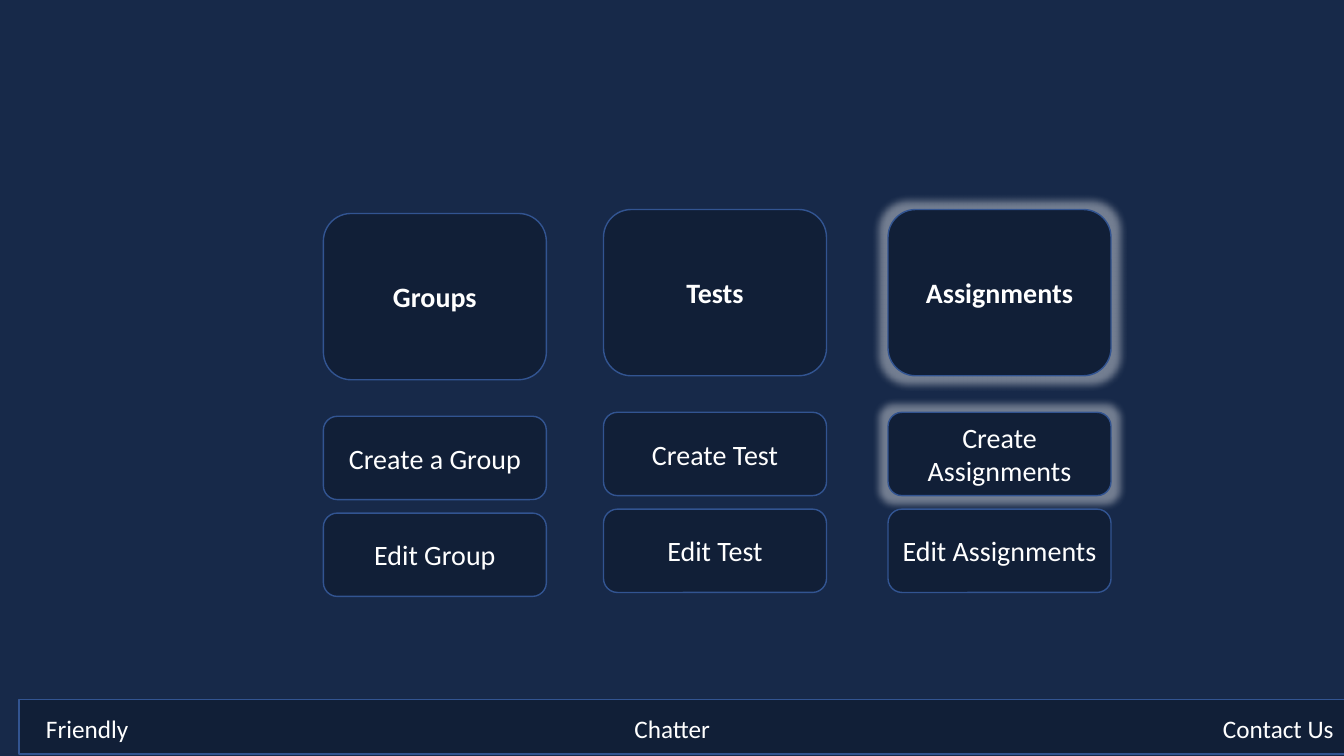
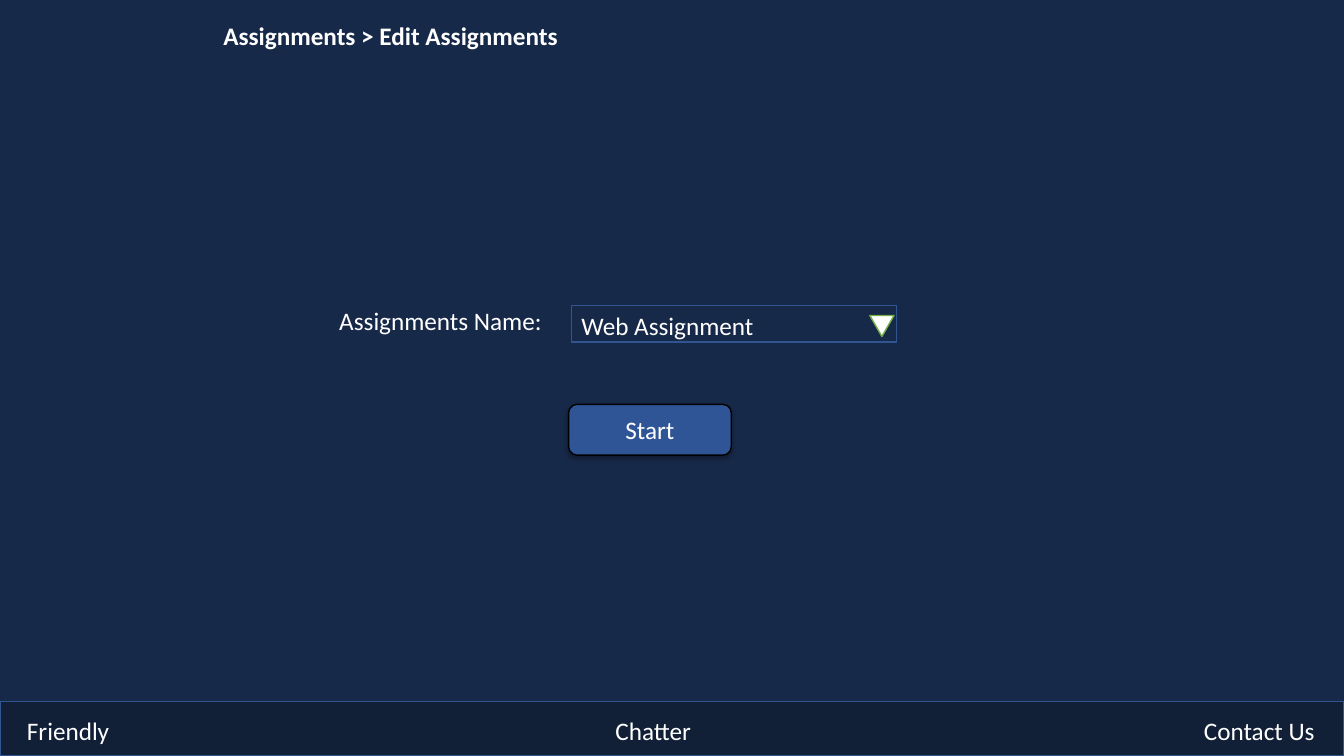
"""Build two screens of a classroom site: the teacher menu and the assignment picker."""
from dataclasses import dataclass

from lxml import etree
from pptx import Presentation
from pptx import util as u
from pptx.dml.color import RGBColor
from pptx.enum import shapes, text
from pptx.oxml.ns import qn


@dataclass(frozen=True)
class Theme:
    font: str = "Calibri"
    backdrop: str = "172949"
    panel: str = "111F37"
    edge: str = "325491"
    button: str = "2F5597"
    button_edge: str = "000000"
    arrow_edge: str = "70AD47"
    white: str = "FFFFFF"
    body_size: int = 18
    card_size: int = 20
    line_width: int = 1


theme = Theme()
forms = shapes.MSO_SHAPE
GLOW = ("glow", {"rad": "139700"}, theme.white, "40000")
SHADOW = ("outerShdw", {"blurRad": "44450", "dist": "27940", "dir": "5400000",
                        "algn": "ctr", "rotWithShape": "0"}, "000000", "32000")


def add_text(box, wording, size=theme.body_size, bold=False,
             align=text.PP_ALIGN.LEFT, anchor=text.MSO_ANCHOR.TOP):
    frame = box.text_frame
    layout = {"word_wrap": True, "vertical_anchor": anchor,
              "margin_left": u.Cm(0.25), "margin_right": u.Cm(0.25)}
    for name, value in layout.items():
        setattr(frame, name, value)
    para = frame.paragraphs[0]
    para.alignment = align
    span = para.add_run()
    span.text = wording
    for name, value in {"name": theme.font, "size": u.Pt(size), "bold": bold}.items():
        setattr(span.font, name, value)
    span.font.color.rgb = RGBColor.from_string(theme.white)


def add_box(page, form, place, fill=None, edge=theme.edge, effect=None):
    box = page.shapes.add_shape(form, *map(u.Cm, place))
    box.shadow.inherit = False
    if fill:
        box.fill.solid()
        box.fill.fore_color.rgb = RGBColor.from_string(fill)
    else:
        box.fill.background()
    box.line.color.rgb = RGBColor.from_string(edge)
    box.line.width = u.Pt(theme.line_width)
    if effect:
        tag, settings, colour, alpha = effect
        effects = box._element.spPr.find(qn("a:effectLst"))
        node = etree.SubElement(effects, qn(f"a:{tag}"), settings)
        tint = etree.SubElement(node, qn("a:srgbClr"), {"val": colour})
        etree.SubElement(tint, qn("a:alpha"), {"val": alpha})
    return box


deck = Presentation()
deck.slide_width, deck.slide_height = u.Cm(33.87), u.Cm(19.05)
pages = []
for left, top in [(0.48, 17.63), (0, 17.68)]:
    page = deck.slides.add_slide(deck.slide_layouts[6])
    page.background.fill.solid()
    page.background.fill.fore_color.rgb = RGBColor.from_string(theme.backdrop)
    add_box(page, forms.RECTANGLE, (left, top, 33.87, 1.37), theme.panel)
    for column, label in enumerate(["Friendly", "Chatter", "Contact Us"]):
        place = (left + 0.43 + column * 14.83, top + 0.23, 3.33, 1.02)
        add_text(page.shapes.add_textbox(*map(u.Cm, place)), label)
    pages.append(page)
menu, picker = pages

centred = {"size": theme.card_size, "align": text.PP_ALIGN.CENTER,
           "anchor": text.MSO_ANCHOR.MIDDLE}
columns = [
    (8.15, 5.38, ["Groups", "Create a Group", "Edit Group"]),
    (15.21, 5.28, ["Tests", "Create Test", "Edit Test"]),
    (22.38, 5.28, ["Assignments", "Create Assignments", "Edit Assignments"]),
]
card_rows = [(0, 4.19), (5.11, 2.1), (7.55, 2.1)]
highlighted = ["Assignments", "Create Assignments"]
for left, top, labels in columns:
    for row, (label, (drop, height)) in enumerate(zip(labels, card_rows)):
        card = add_box(menu, forms.ROUNDED_RECTANGLE, (left, top + drop, 5.62, height),
                       theme.panel, effect=GLOW if label in highlighted else None)
        add_text(card, label, bold=row == 0, **centred)

add_box(picker, forms.RECTANGLE, (14.4, 7.7, 8.2, 0.92))
start = add_box(picker, forms.ROUNDED_RECTANGLE, (14.33, 10.19, 4.1, 1.28),
                theme.button, theme.button_edge, SHADOW)
add_text(start, "Start", **{**centred, "size": theme.body_size})
for place, label, bold in [
    ((5.38, 0.38, 10.41, 1.02), "Assignments > Edit Assignments", True),
    ((8.3, 7.58, 5.75, 1.02), "Assignments Name:", False),
    ((14.4, 7.7, 5.4, 1.02), "Web Assignment", False),
]:
    add_text(picker.shapes.add_textbox(*map(u.Cm, place)), label, bold=bold)
arrow = add_box(picker, forms.ISOSCELES_TRIANGLE, (21.92, 7.95, 0.61, 0.53),
                theme.white, theme.arrow_edge)
arrow.rotation = 180

deck.save("out.pptx")
